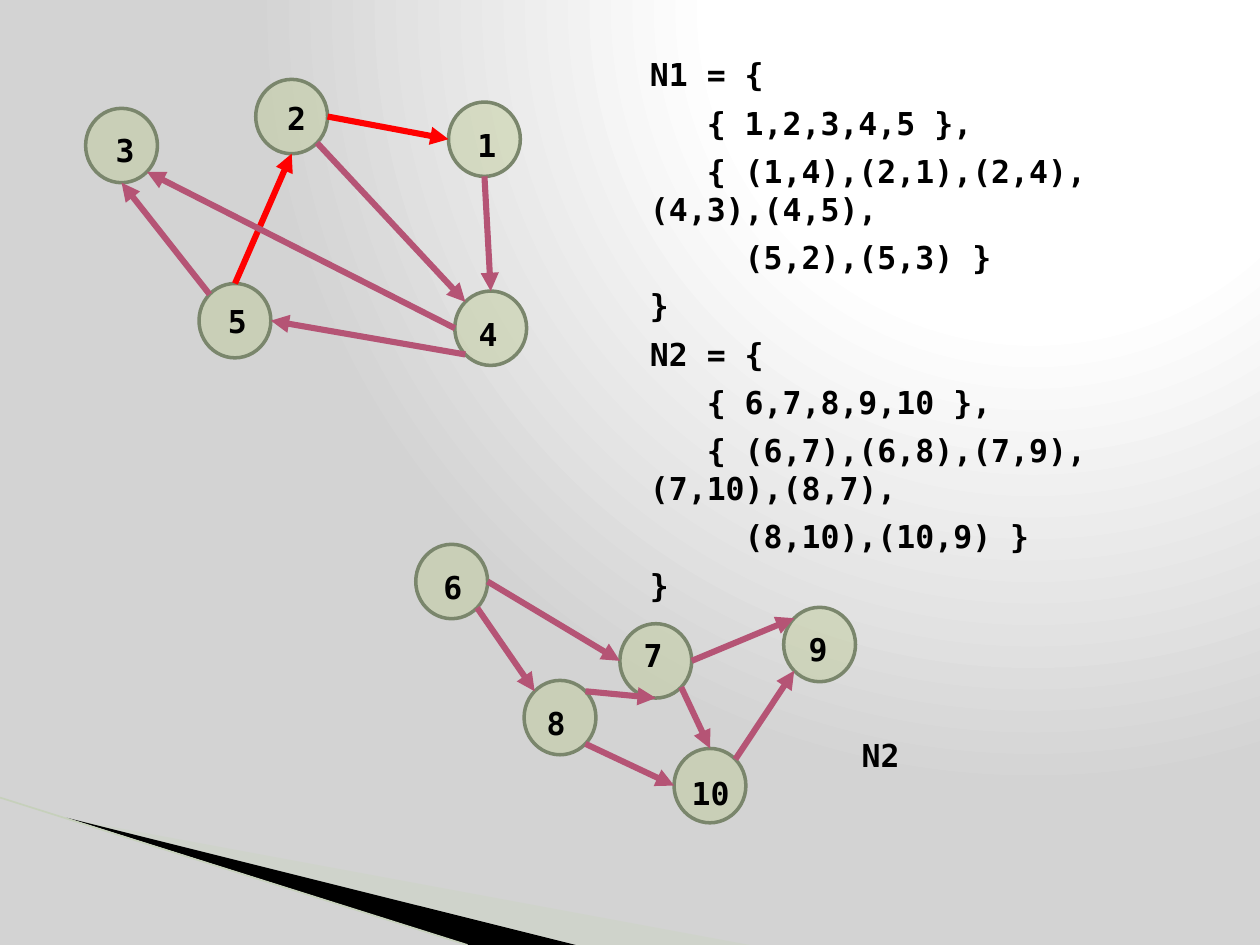
from lxml import etree
from pptx import Presentation
from pptx import util as u
from pptx.dml.color import RGBColor
from pptx.enum import shapes
from pptx.oxml import parse_xml
from pptx.oxml.ns import nsdecls, qn

PX = 9144  # 100 px to the inch
FONT = "DejaVu Sans Mono"
COLORS = {
    "node": "BECB95", "ring": "7A866C", "edge": "B55475", "path": "FF0000",
    "text": "000000", "wedge": "000000", "veil": "CBD4C0", "trim": "C6D0BB",
    "light": "FFFFFF", "dark": "D3D3D3",
}
RGB = {name: RGBColor.from_string(value) for name, value in COLORS.items()}

prs = Presentation()
prs.slide_width, prs.slide_height = 1000 * PX, 750 * PX
s = prs.slides.add_slide(prs.slide_layouts[6])


def add_line(x1, y1, x2, y2, color, width, arrow=True):
    line = s.shapes.add_connector(
        shapes.MSO_CONNECTOR.STRAIGHT, *(round(v * PX) for v in (x1, y1, x2, y2)))
    line.line.color.rgb = RGB[color]
    line.line.width = u.Pt(width)
    if arrow:
        etree.SubElement(line.line._get_or_add_ln(), qn("a:tailEnd"), type="triangle")
    etree.SubElement(line._element.spPr, qn("a:effectLst"))


def add_text(x, y, w, h, lines):
    tf = s.shapes.add_textbox(x * PX, y * PX, w * PX, h * PX).text_frame
    tf.word_wrap = True
    for i, line in enumerate(lines):
        p = tf.add_paragraph() if i else tf.paragraphs[0]
        p.space_after = u.Pt(6)
        r = p.add_run()
        r.text = line
        r.font.name, r.font.size, r.font.bold = FONT, u.Pt(18), True
        r.font.color.rgb = RGB["text"]


# Background: radial glow from the upper right
stops = "".join(
    f'<a:gs pos="{pos}"><a:srgbClr val="{COLORS[c]}"/></a:gs>'
    for pos, c in ((0, "light"), (40000, "light"), (100000, "dark")))
s._element.cSld.insert(0, parse_xml(
    f'<p:bg {nsdecls("p", "a")}><p:bgPr><a:gradFill><a:gsLst>{stops}</a:gsLst>'
    '<a:path path="circle"><a:fillToRect l="65000" t="0" r="0" b="98000"/></a:path>'
    '</a:gradFill><a:effectLst/></p:bgPr></p:bg>'))

# Corner decoration: color, opacity in percent, corners
for color, opacity, points in (
    ("veil", 40, [(55, 650), (595, 750), (456, 750)]),
    ("wedge", 100, [(53, 649), (457, 750), (372, 750)]),
):
    builder = s.shapes.build_freeform(*points[0], scale=PX)
    builder.add_line_segments(points[1:])
    sp = builder.convert_to_shape()
    sp.shadow.inherit = False
    sp.fill.solid()
    sp.fill.fore_color.rgb = RGB[color]
    sp.line.fill.background()
    if opacity < 100:
        clr = sp._element.spPr.find(".//" + qn("a:srgbClr"))
        etree.SubElement(clr, qn("a:alpha"), val=str(opacity * 1000))
add_line(0, 633, 371, 750, "trim", 0.95, arrow=False)

# Nodes: circle left and top, then label left, top and width
NODE_W, NODE_H, LABEL_H = 57, 59, 40
nodes = {
    1: (356, 81, 369, 95, 38), 2: (203, 63, 218, 74, 36),
    3: (68, 86, 82, 99, 37), 4: (361, 231, 370, 245, 32),
    5: (158, 225, 171, 235, 37), 6: (330, 432, 342, 446, 33),
    7: (492, 495, 501, 500, 37), 8: (416, 540, 424, 554, 39),
    9: (622, 482, 632, 495, 37), 10: (535, 594, 539, 609, 59),
}
for x, y, *_ in nodes.values():
    sp = s.shapes.add_shape(
        shapes.MSO_SHAPE.OVAL, x * PX, y * PX, NODE_W * PX, NODE_H * PX)
    sp.shadow.inherit = False
    sp.fill.solid()
    sp.fill.fore_color.rgb = RGB["node"]
    clr = sp._element.spPr.find(".//" + qn("a:srgbClr"))
    etree.SubElement(clr, qn("a:alpha"), val="45000")
    sp.line.color.rgb = RGB["ring"]
    sp.line.width = u.Pt(2)

# Edges join compass points of the circles
D = 0.5 ** 0.5
SITES = {"n": (0, -1), "s": (0, 1), "w": (-1, 0), "e": (1, 0),
         "nw": (-D, -D), "ne": (D, -D), "sw": (-D, D), "se": (D, D)}
edges = [
    (2, "e", 1, "w", "path"), (1, "s", 4, "n", "edge"),
    (2, "se", 4, "nw", "edge"), (5, "n", 2, "s", "path"),
    (4, "w", 3, "se", "edge"), (5, "nw", 3, "s", "edge"),
    (4, "sw", 5, "e", "edge"), (6, "e", 7, "w", "edge"),
    (6, "se", 8, "nw", "edge"), (8, "ne", 7, "s", "edge"),
    (8, "se", 10, "w", "edge"), (7, "e", 9, "nw", "edge"),
    (10, "ne", 9, "sw", "edge"), (7, "se", 10, "n", "edge"),
]
for start, start_site, end, end_site, color in edges:
    ends = []
    for node, site in ((start, start_site), (end, end_site)):
        dx, dy = SITES[site]
        ends += [nodes[node][0] + NODE_W / 2 * (1 + dx),
                 nodes[node][1] + NODE_H / 2 * (1 + dy)]
    add_line(*ends, color, 3.5)

for number, (_, _, x, y, w) in nodes.items():
    add_text(x, y, w, LABEL_H, [str(number)])

# Network definitions
add_text(506, 39, 404, 389, [
    "N1 = {",
    "   { 1,2,3,4,5 },",
    "   { (1,4),(2,1),(2,4),(4,3),(4,5),",
    "     (5,2),(5,3) }",
    "}",
    "N2 = {",
    "   { 6,7,8,9,10 },",
    "   { (6,7),(6,8),(7,9),(7,10),(8,7),",
    "     (8,10),(10,9) }",
    "}",
])
add_text(674, 579, 58, LABEL_H, ["N2"])

prs.save("out.pptx")
